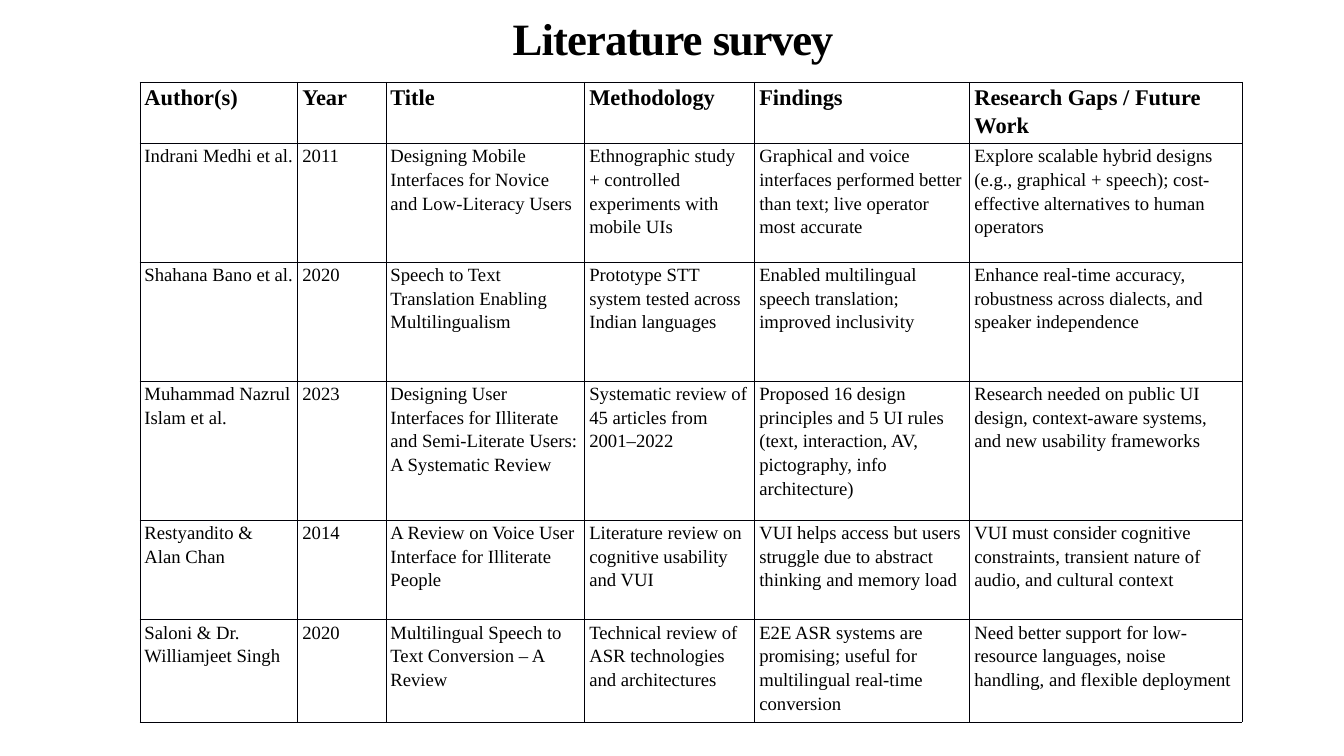
from lxml.etree import SubElement
from pptx import Presentation
from pptx.dml.color import RGBColor
from pptx.enum.text import MSO_ANCHOR as Anchor, PP_ALIGN as Align
from pptx.oxml.ns import qn
from pptx.util import Inches, Pt

BLACK = RGBColor(0x00, 0x00, 0x00)
BORDER = RGBColor(0x00, 0x00, 0x08)

COLUMN_WIDTHS = [2.35, 1.31, 2.96, 2.53, 3.2, 4.05]
ROW_HEIGHTS = [0.59, 1.77, 1.77, 2.07, 1.48, 1.48]
SURVEY = [
    ["Author(s)", "Year", "Title", "Methodology", "Findings", "Research Gaps / Future Work"],
    ["Indrani Medhi et al.", "2011",
     "Designing Mobile Interfaces for Novice and Low-Literacy Users",
     "Ethnographic study + controlled experiments with mobile UIs",
     "Graphical and voice interfaces performed better than text; live operator most accurate",
     "Explore scalable hybrid designs (e.g., graphical + speech); cost-effective alternatives "
     "to human operators"],
    ["Shahana Bano et al.", "2020",
     "Speech to Text Translation Enabling Multilingualism",
     "Prototype STT system tested across Indian languages",
     "Enabled multilingual speech translation; improved inclusivity",
     "Enhance real-time accuracy, robustness across dialects, and speaker independence"],
    ["Muhammad Nazrul Islam et al.", "2023",
     "Designing User Interfaces for Illiterate and Semi-Literate Users: A Systematic Review",
     "Systematic review of 45 articles from 2001–2022",
     "Proposed 16 design principles and 5 UI rules (text, interaction, AV, pictography, "
     "info architecture)",
     "Research needed on public UI design, context-aware systems, and new usability frameworks"],
    ["Restyandito & Alan Chan", "2014",
     "A Review on Voice User Interface for Illiterate People",
     "Literature review on cognitive usability and VUI",
     "VUI helps access but users struggle due to abstract thinking and memory load",
     "VUI must consider cognitive constraints, transient nature of audio, and cultural context"],
    ["Saloni & Dr. Williamjeet Singh", "2020",
     "Multilingual Speech to Text Conversion – A Review",
     "Technical review of ASR technologies and architectures",
     "E2E ASR systems are promising; useful for multilingual real-time conversion",
     "Need better support for low-resource languages, noise handling, and flexible deployment"],
]


def apply_format(target, values):
    for name, value in values.items():
        setattr(target, name, value)


class SlideBuilder:
    font_name = "Times New Roman"
    title_frame = {"word_wrap": True, "vertical_anchor": Anchor.MIDDLE, "margin_left": 0,
                   "margin_right": 0, "margin_top": Inches(0.01), "margin_bottom": 0}
    title_paragraph = {"alignment": Align.CENTER, "space_before": Pt(1)}
    cell_format = {"margin_left": Inches(0.07), "margin_right": Inches(0.07),
                   "margin_top": 0, "margin_bottom": 0, "vertical_anchor": Anchor.TOP}
    cell_paragraph = {"alignment": Align.LEFT, "line_spacing": 1.14}
    table_format = {"first_row": False, "horz_banding": False}

    def __init__(self, slide):
        self.slide = slide

    def add_run(self, paragraph, text, size, bold):
        run = paragraph.add_run()
        run.text = text
        apply_format(run.font, {"name": self.font_name, "size": Pt(size), "bold": bold})
        run.font.color.rgb = BLACK
        return run

    def add_title(self, parts, left, top, width, height):
        shape = self.slide.shapes.add_textbox(*map(Inches, (left, top, width, height)))
        apply_format(shape.text_frame, self.title_frame)
        paragraph = shape.text_frame.paragraphs[0]
        apply_format(paragraph, self.title_paragraph)
        for text, spacing in parts:
            run = self.add_run(paragraph, text, 48, True)
            run.font._element.set("spc", str(round(spacing * 100)))

    def add_borders(self, cell):
        properties = cell._tc.get_or_add_tcPr()
        for side in ("lnL", "lnR", "lnT", "lnB"):
            line = SubElement(properties, qn(f"a:{side}"), w=str(Pt(0.5)))
            fill = SubElement(line, qn("a:solidFill"))
            SubElement(fill, qn("a:srgbClr"), val=str(BORDER))

    def add_cell(self, cell, text, is_header):
        apply_format(cell, self.cell_format)
        self.add_borders(cell)
        cell.fill.background()
        paragraph = cell.text_frame.paragraphs[0]
        apply_format(paragraph, self.cell_paragraph)
        self.add_run(paragraph, text, 24 if is_header else 20, is_header)

    def add_table(self, rows, left, top, widths, heights):
        frame = self.slide.shapes.add_table(
            len(rows), len(widths), Inches(left), Inches(top),
            Inches(sum(widths)), Inches(sum(heights)))
        table = frame.table
        apply_format(table, self.table_format)
        for column, width in zip(table.columns, widths):
            column.width = Inches(width)
        for index, (row, height, texts) in enumerate(zip(table.rows, heights, rows)):
            row.height = Inches(height)
            for cell, text in zip(row.cells, texts):
                self.add_cell(cell, text, index == 0)


def main():
    presentation = Presentation()
    presentation.slide_width = Inches(20)
    presentation.slide_height = Inches(11.25)
    builder = SlideBuilder(presentation.slides.add_slide(presentation.slide_layouts[6]))
    builder.add_title([("Literature ", -1), ("survey", -1.4)], 0, 0.15, 20.03, 0.82)
    builder.add_table(SURVEY, 2.08, 1.22, COLUMN_WIDTHS, ROW_HEIGHTS)
    presentation.save("out.pptx")


if __name__ == "__main__":
    main()
